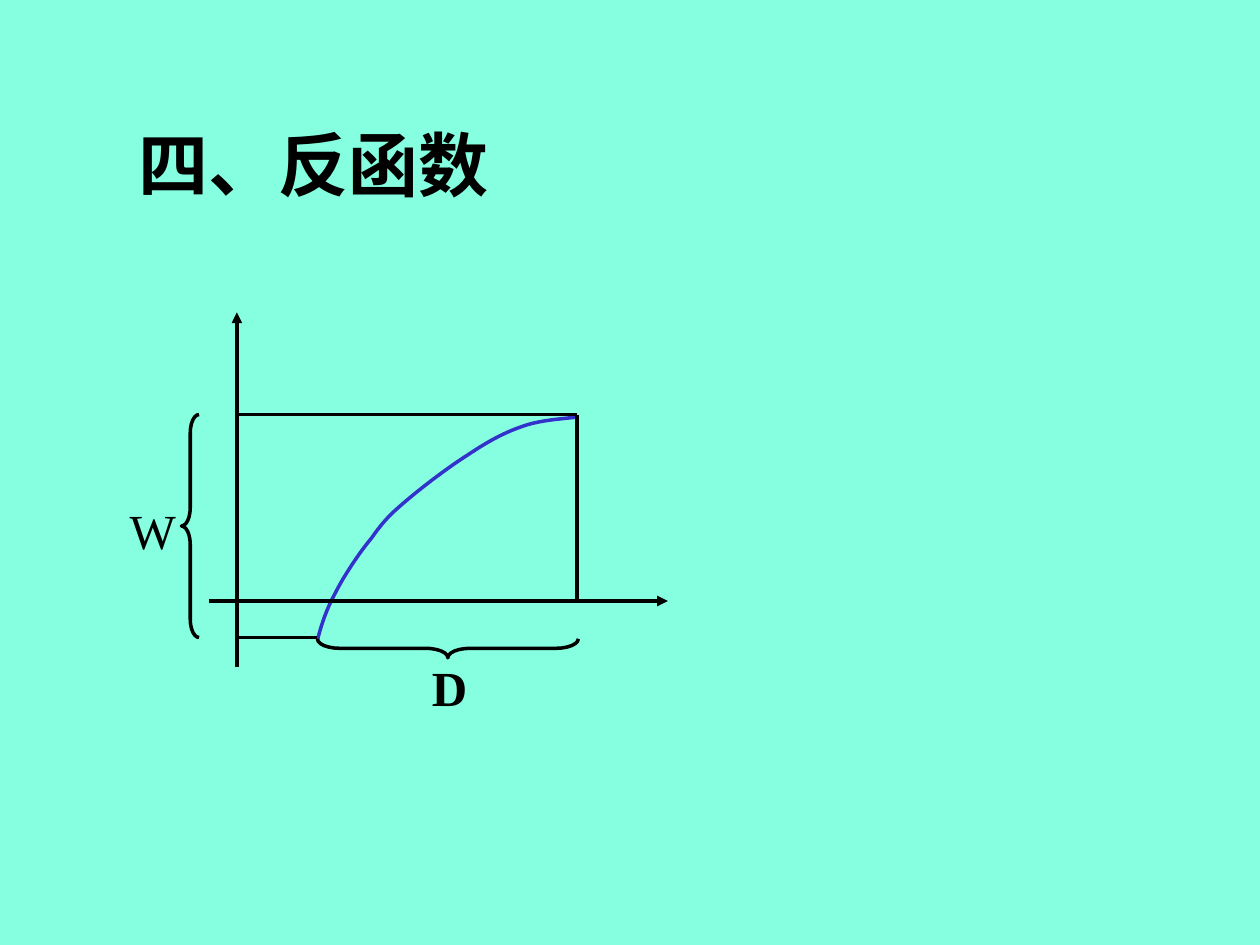
from lxml.etree import SubElement
from pptx import Presentation
from pptx.dml.color import RGBColor
from pptx.enum.shapes import MSO_CONNECTOR, MSO_SHAPE
from pptx.enum.text import MSO_ANCHOR, PP_ALIGN
from pptx.oxml.ns import qn
from pptx.util import Inches, Pt

BLACK, BLUE, AQUA = "000000", "3333CC", "85FFE0"

deck = Presentation()
deck.slide_width, deck.slide_height = Inches(10), Inches(7.5)
column, row = deck.slide_width / 10, deck.slide_height / 7.5
page = deck.slides.add_slide(deck.slide_layouts[5])
page.background.fill.solid()
page.background.fill.fore_color.rgb = RGBColor.from_string(AQUA)


def write(box, text, left, top, width, height, size, bold=False, anchor=MSO_ANCHOR.TOP):
    """Place a text box on the grid and fill it with one formatted span."""
    box.left, box.top = round(left * column), round(top * row)
    box.width, box.height = round(width * column), round(height * row)
    frame = box.text_frame
    frame.word_wrap = True
    frame.vertical_anchor = anchor
    para = frame.paragraphs[0]
    para.alignment = PP_ALIGN.LEFT
    span = para.add_run()
    span.text = text
    span.font.name = "Times New Roman"
    span.font.size = Pt(size)
    span.font.bold = bold
    span.font.color.rgb = RGBColor.from_string(BLACK)


def stroke(shape, colour=BLACK):
    """Outline a shape or connector, without shadow."""
    shape.line.color.rgb = RGBColor.from_string(colour)
    shape.line.width = Pt(2)
    SubElement(shape._element.spPr, qn("a:effectLst"))


write(page.shapes.title, "四、反函数", 1, 0.67, 3.92, 1.25, 40, bold=True, anchor=MSO_ANCHOR.MIDDLE)

# Function graph: Bezier segments sampled into a smooth outline
start = (2.52, 5.08)
segments = [
    [(2.55, 4.96), (2.59, 4.84), (2.66, 4.71)],
    [(2.73, 4.57), (2.85, 4.39), (2.95, 4.27)],
    [(3.04, 4.14), (3.10, 4.08), (3.23, 3.97)],
    [(3.36, 3.86), (3.57, 3.70), (3.73, 3.60)],
    [(3.88, 3.50), (4.01, 3.43), (4.16, 3.38)],
    [(4.30, 3.33), (4.53, 3.32), (4.58, 3.31)],
]
steps = 12
points = [start]
for first, second, end in segments:
    begin = points[-1]
    for step in range(1, steps + 1):
        t = step / steps
        weights = ((1 - t) ** 3, 3 * t * (1 - t) ** 2, 3 * t ** 2 * (1 - t), t ** 3)
        corners = (begin, first, second, end)
        points.append(tuple(sum(w * c[axis] for w, c in zip(weights, corners)) for axis in (0, 1)))
outline = [(round(x * column), round(y * row)) for x, y in points]
builder = page.shapes.build_freeform(*outline[0])
builder.add_line_segments(outline[1:], close=False)
curve = builder.convert_to_shape()
curve.fill.background()
stroke(curve, BLUE)

# Axes and the lines that bound the domain and the range
axis_x, axis_y = 1.88, 4.77
domain_left, domain_right = 2.52, 4.58
range_top, range_bottom = 3.29, 5.06
lines = [
    (1.66, axis_y, 5.3, axis_y, True),
    (axis_x, 5.29, axis_x, 2.48, True),
    (domain_right, range_top, axis_x, range_top, False),
    (domain_right, range_top, domain_right, axis_y, False),
    (domain_left, range_bottom, axis_x, range_bottom, False),
]
for x1, y1, x2, y2, has_arrow in lines:
    line = page.shapes.add_connector(
        MSO_CONNECTOR.STRAIGHT, round(x1 * column), round(y1 * row), round(x2 * column), round(y2 * row)
    )
    stroke(line)
    if has_arrow:
        SubElement(line.line._get_or_add_ln(), qn("a:tailEnd"), type="triangle")

# Braces for the range W and the domain D
braces = [
    (1.44, range_top, 0.14, range_bottom - range_top, 0, 1.04),
    (3.48, 4.11, 0.15, 2.07, 270, 1.17),
]
for left, top, width, height, rotation, curl in braces:
    brace = page.shapes.add_shape(
        MSO_SHAPE.LEFT_BRACE, round(left * column), round(top * row), round(width * column), round(height * row)
    )
    brace.adjustments[0], brace.adjustments[1] = curl, 0.5
    brace.rotation = rotation
    brace.fill.background()
    stroke(brace)

for text, left, top, width, bold in [("D", 3.33, 5.17, 0.53, True), ("W", 0.93, 3.92, 0.42, False)]:
    write(page.shapes.add_textbox(0, 0, 0, 0), text, left, top, width, 0.57, 28, bold=bold)

deck.save("out.pptx")
